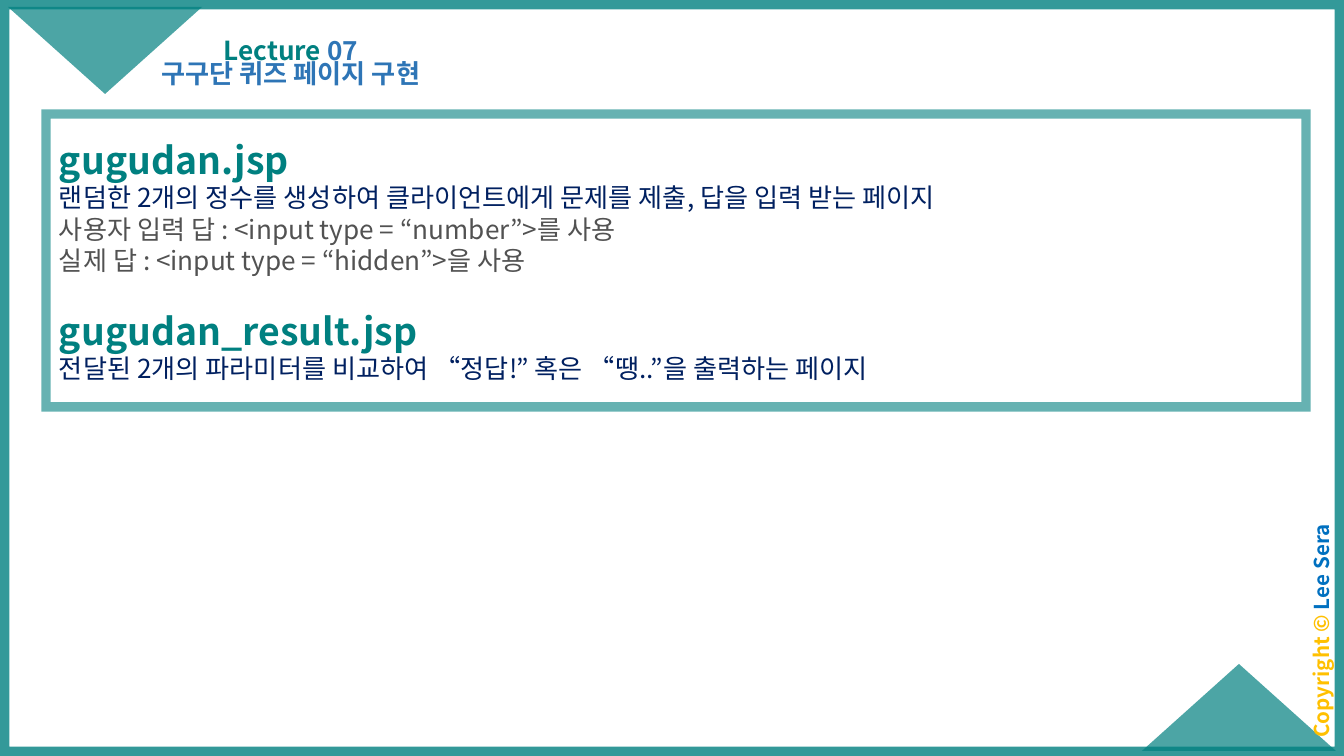
from pptx import Presentation
from pptx.dml.color import RGBColor
from pptx.enum.shapes import MSO_SHAPE
from pptx.enum.text import MSO_ANCHOR, MSO_AUTO_SIZE, PP_ALIGN
from pptx.oxml.ns import qn
from pptx.util import Emu, Pt
from lxml.etree import SubElement

# Content: each paragraph is a list of (text, style) runs
COLORS = {"teal": "008080", "blue": "2E75B6", "navy": "002060",
          "gray": "525252", "gold": "FFC000", "sky": "0070C0"}
STYLES = {
    "file": (20, True, "teal"), "role": (14, False, "navy"), "note": (14, False, "gray"),
    "lecture": (14, True, "teal"), "topic": (14, True, "blue"),
    "notice": (11, True, "gold"), "owner": (11, True, "sky"),
}
TITLE = [[("Lecture ", "lecture"), ("07", "topic")]]
SUBTITLE = [[("구구단 퀴즈 페이지 구현", "topic")]]
COPYRIGHT = [[("Copyright © ", "notice"), ("Lee Sera", "owner")]]
PAGES = [
    [("gugudan.jsp", "file")],
    [("랜덤한 2개의 정수를 생성하여 클라이언트에게 문제를 제출, 답을 입력 받는 페이지", "role")],
    [("사용자 입력 답 : <input type = “number”>를 사용", "note")],
    [("실제 답 : <input type = “hidden”>을 사용", "note")],
    [("gugudan_result.jsp", "file")],
    [("전달된 2개의 파라미터를 비교하여 “정답!” 혹은 “땡..”을 출력하는 페이지", "role")],
]
FONT = "Noto Sans CJK KR"
W, H = 1344, 756
SECTION_GAP = 17
CENTERED = {"alignment": PP_ALIGN.CENTER, "line_spacing": 0.9}
LEFT = {"alignment": PP_ALIGN.LEFT}


def px(n):
    return Emu(round(n * 914400 / 134.4))


def rgb(name):
    return RGBColor.from_string(COLORS[name])


def place(sp, box):
    for name, n in zip(("left", "top", "width", "height"), box):
        setattr(sp, name, px(n))


def write(sp, paragraphs, para_format, anchor, inset=(10, 5)):
    tf = sp.text_frame
    mx, my = map(px, inset)
    frame = {"word_wrap": True, "auto_size": MSO_AUTO_SIZE.NONE, "vertical_anchor": anchor,
             "margin_left": mx, "margin_right": mx, "margin_top": my, "margin_bottom": my}
    for name, value in frame.items():
        setattr(tf, name, value)
    for i, runs in enumerate(paragraphs):
        p = tf.add_paragraph() if i else tf.paragraphs[0]
        new_section = i and runs[0][1] == "file"
        spacing = {"space_before": Pt(SECTION_GAP if new_section else 0), "space_after": Pt(0)}
        for name, value in {**para_format, **spacing}.items():
            setattr(p, name, value)
        for text, style in runs:
            size, bold, color = STYLES[style]
            r = p.add_run()
            r.text = text
            for name, value in {"size": Pt(size), "bold": bold, "name": FONT}.items():
                setattr(r.font, name, value)
            r.font.color.rgb = rgb(color)
            SubElement(r.font._element, qn("a:ea"), typeface=FONT)


def add_teal(s, kind, box, opacity, line_width=0):
    """Add a translucent shape: outlined when it has a line width, else filled."""
    sp = s.shapes.add_shape(kind, *map(px, box))
    sp.shadow.inherit = False
    if line_width:
        sp.fill.background()
        sp.line.width = Pt(line_width)
        sp.line.color.rgb = rgb("teal")
        SubElement(sp.line._get_or_add_ln(), qn("a:miter"), lim="800000")
    else:
        sp.line.fill.background()
        sp.fill.solid()
        sp.fill.fore_color.rgb = rgb("teal")
    for color in sp._element.spPr.iter(qn("a:srgbClr")):
        SubElement(color, qn("a:alpha"), val=str(opacity * 1000))
    return sp


prs = Presentation()
prs.slide_width, prs.slide_height = px(W), px(H)
s = prs.slides.add_slide(prs.slide_layouts[0])

# Slide border and corner triangles
add_teal(s, MSO_SHAPE.RECTANGLE, (0, 0, W, H), 80, 10)
add_teal(s, MSO_SHAPE.ISOSCELES_TRIANGLE, (1142, 664, 194, 87), 70)
add_teal(s, MSO_SHAPE.ISOSCELES_TRIANGLE, (8, 7, 194, 87), 70).rotation = 180

# Copyright line up the right edge
sp = s.shapes.add_textbox(*map(px, (1199, 614, 250, 34)))
sp.rotation = 270
write(sp, COPYRIGHT, CENTERED, MSO_ANCHOR.TOP)

# Title and subtitle
title, subtitle = s.shapes.title, s.placeholders[1]
place(title, (188, 8, 206, 63))
write(title, TITLE, CENTERED, MSO_ANCHOR.BOTTOM)
place(subtitle, (148, 56, 286, 46))
write(subtitle, SUBTITLE, CENTERED, MSO_ANCHOR.TOP)

# Page descriptions
sp = add_teal(s, MSO_SHAPE.RECTANGLE, (46, 114, 1260, 293), 60, 5)
write(sp, PAGES, LEFT, MSO_ANCHOR.MIDDLE, (13, 7))

prs.save("out.pptx")
